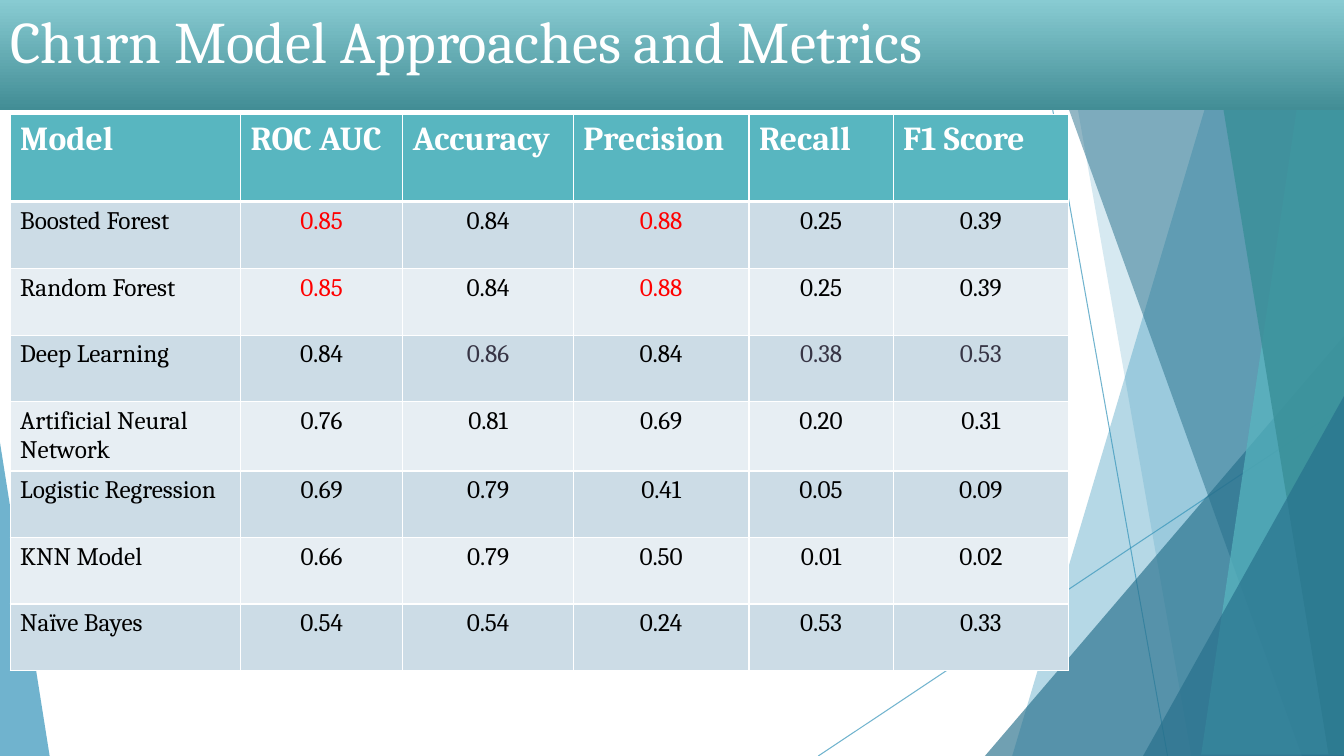
from dataclasses import dataclass

from lxml.etree import SubElement
from pptx import Presentation
from pptx.dml.color import RGBColor
from pptx.enum.shapes import MSO_CONNECTOR, MSO_SHAPE
from pptx.enum.text import MSO_ANCHOR, MSO_AUTO_SIZE, PP_ALIGN
from pptx.oxml.ns import qn
from pptx.util import Pt


@dataclass(frozen=True)
class Theme:
    font: str = "Cambria"
    title_size: int = 42
    header_size: int = 24
    body_size: int = 18
    white: str = "FFFFFF"
    black: str = "000000"
    red: str = "FF0000"
    slate: str = "373545"
    blue: str = "3494BA"
    deep_blue: str = "266F8B"
    teal: str = "58B6C0"
    deep_teal: str = "398F98"
    title_top: str = "88CBD2"
    title_bottom: str = "428D95"
    odd_row: str = "CCDCE6"
    even_row: str = "E7EEF3"


theme = Theme()


def paint(shape, color, opacity):
    """Fill a facet with a see-through colour and no outline."""
    shape.shadow.inherit = False
    shape.line.fill.background()
    shape.fill.solid()
    shape.fill.fore_color.rgb = RGBColor.from_string(color)
    for color_element in shape.element.spPr.iter(qn("a:srgbClr")):
        SubElement(color_element, qn("a:alpha"), val=str(opacity * 1000))


def add_text(paragraph, text, size, color, bold=False):
    run = paragraph.add_run()
    run.text = text
    run.font.name = theme.font
    run.font.size = Pt(size)
    run.font.bold = bold
    run.font.color.rgb = RGBColor.from_string(color)


presentation = Presentation()
presentation.slide_width = Pt(960)
presentation.slide_height = Pt(540)
slide = presentation.slides.add_slide(presentation.slide_layouts[5])
shapes = slide.shapes

# Thin lines behind the facets
for x1, y1, x2, y2 in [(738, 0, 834, 540), (960, 290, 584.5, 540)]:
    line = shapes.add_connector(MSO_CONNECTOR.STRAIGHT, Pt(x1), Pt(y1), Pt(x2), Pt(y2))
    line.line.color.rgb = RGBColor.from_string(theme.blue)
    line.line.width = Pt(0.75)
    for color_element in line.element.spPr.iter(qn("a:srgbClr")):
        SubElement(color_element, qn("a:alpha"), val="70000")
    SubElement(line.element.spPr, qn("a:effectLst"))

# Facets, back to front: a four-sided one is (top x, bottom x, bottom y),
# a triangle is (left, top, width, height, apex)
facets = [
    ((884, 723, 540), theme.blue, 36),
    ((756, 851, 540), theme.blue, 20),
    ((703.5, 240, 256.5, 300, 1), theme.deep_blue, 66),
    ((735, 930, 540), theme.deep_blue, 50),
    ((938, 858, 539), theme.teal, 70),
    ((861, 949, 539), theme.deep_teal, 80),
    ((816.5, 283, 143.5, 257, 1), theme.deep_blue, 66),
    ((0, 316, 35.5, 224, 0), theme.blue, 70),
]
for geometry, color, opacity in facets:
    if len(geometry) == 3:
        top_x, bottom_x, bottom_y = geometry
        builder = shapes.build_freeform(top_x, -1, scale=Pt(1))
        builder.add_line_segments([(960, -1), (960, bottom_y), (bottom_x, bottom_y)])
        facet = builder.convert_to_shape()
    else:
        *box, apex = geometry
        facet = shapes.add_shape(MSO_SHAPE.ISOSCELES_TRIANGLE, *map(Pt, box))
        facet.adjustments[0] = apex
    paint(facet, color, opacity)

# Title band, brought in front of the facets
title = shapes.title
shapes.element.append(title.element)
title.left, title.top, title.width, title.height = Pt(0), Pt(0), Pt(960), Pt(78.5)
title.fill.gradient()
title.fill.gradient_angle = 270
for stop, color, position in zip(
    title.fill.gradient_stops, (theme.title_top, theme.title_bottom), (0, 1)
):
    stop.color.rgb = RGBColor.from_string(color)
    stop.position = position
title_frame = title.text_frame
title_frame.auto_size = MSO_AUTO_SIZE.NONE
title_frame.word_wrap = True
title_frame.vertical_anchor = MSO_ANCHOR.TOP
title_frame.paragraphs[0].alignment = PP_ALIGN.LEFT
add_text(title_frame.paragraphs[0], "Churn Model Approaches and Metrics",
         theme.title_size, theme.white)

# Metrics table
rows = [
    ("Model", "ROC AUC", "Accuracy", "Precision", "Recall", "F1 Score"),
    ("Boosted Forest", "0.85", "0.84", "0.88", "0.25", "0.39"),
    ("Random Forest", "0.85", "0.84", "0.88", "0.25", "0.39"),
    ("Deep Learning", "0.84", "0.86", "0.84", "0.38", "0.53"),
    ("Artificial Neural Network", "0.76", "0.81", "0.69", "0.20", "0.31"),
    ("Logistic Regression", "0.69", "0.79", "0.41", "0.05", "0.09"),
    ("KNN Model", "0.66", "0.79", "0.50", "0.01", "0.02"),
    ("Naïve Bayes", "0.54", "0.54", "0.24", "0.53", "0.33"),
]
column_widths = [164.5, 116, 121.75, 125.5, 103, 125.25]
row_heights = [62, 48, 47.5, 47.5, 49.5, 47.5, 47.5, 47.5]
highlights = {(row, column): theme.red for row in (1, 2) for column in (1, 3)}
highlights |= {(3, column): theme.slate for column in (2, 4, 5)}

table = shapes.add_table(len(rows), len(column_widths), Pt(7.25), Pt(82),
                         Pt(sum(column_widths)), Pt(sum(row_heights))).table
for column, width in zip(table.columns, column_widths):
    column.width = Pt(width)
for row, height in zip(table.rows, row_heights):
    row.height = Pt(height)

for row_index, row in enumerate(rows):
    is_header = row_index == 0
    for column_index, text in enumerate(row):
        cell = table.cell(row_index, column_index)
        cell_properties = cell._tc.get_or_add_tcPr()
        for side in ("lnL", "lnR", "lnT", "lnB"):
            heavy = (is_header and side == "lnB") or (row_index == 1 and side == "lnT")
            border = SubElement(cell_properties, qn(f"a:{side}"), w=str(Pt(3 if heavy else 1)))
            border_fill = SubElement(border, qn("a:solidFill"))
            SubElement(border_fill, qn("a:srgbClr"), val=theme.white)
        row_color = theme.odd_row if row_index % 2 else theme.even_row
        cell.fill.solid()
        cell.fill.fore_color.rgb = RGBColor.from_string(theme.teal if is_header else row_color)
        paragraph = cell.text_frame.paragraphs[0]
        if is_header:
            add_text(paragraph, text, theme.header_size, theme.white, bold=True)
        else:
            paragraph.alignment = PP_ALIGN.CENTER if column_index else PP_ALIGN.LEFT
            color = highlights.get((row_index, column_index), theme.black)
            add_text(paragraph, text, theme.body_size, color)

presentation.save("out.pptx")
